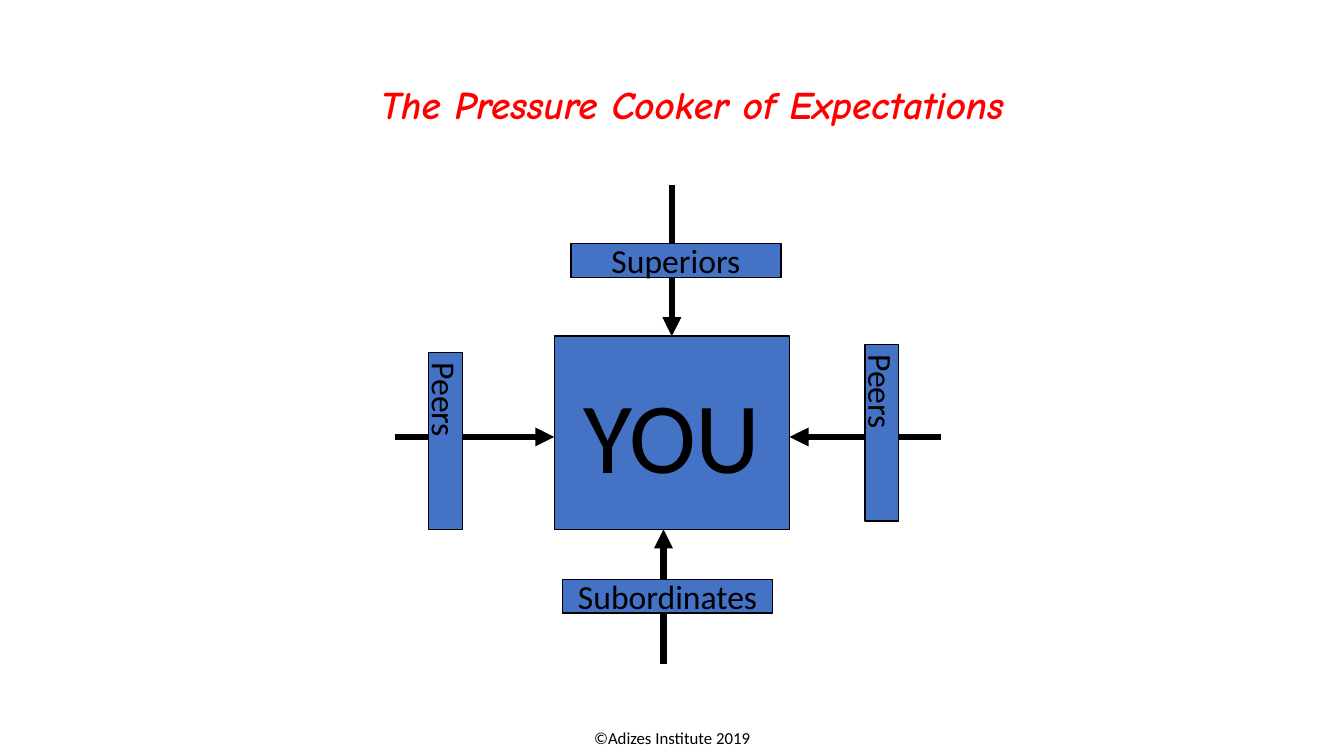
from lxml import etree
from pptx import Presentation
from pptx import util as u
from pptx.dml.color import RGBColor
from pptx.enum import shapes, text
from pptx.oxml.ns import qn

BLUE, BLACK, RED = "4472C4", "000000", "FF0000"


def colour(hex_string):
    return RGBColor.from_string(hex_string)


def write(shape, words, size, font="Calibri", color=BLACK, bold=False,
          italic=False, anchor=text.MSO_ANCHOR.MIDDLE, wrap=False, spacing=1.0):
    frame = shape.text_frame
    frame.auto_size = text.MSO_AUTO_SIZE.NONE
    frame.word_wrap = wrap
    frame.vertical_anchor = anchor
    paragraph = frame.paragraphs[0]
    paragraph.alignment = text.PP_ALIGN.CENTER
    paragraph.line_spacing = spacing
    run = paragraph.add_run()
    run.text = words
    run.font.size = u.Pt(size)
    run.font.name = font
    run.font.bold = bold
    run.font.italic = italic
    run.font.color.rgb = colour(color)


def add_box(slide, words, left, top, width, height, size=24, vertical=False):
    box = slide.shapes.add_shape(shapes.MSO_SHAPE.RECTANGLE, u.Cm(left),
                                 u.Cm(top), u.Cm(width), u.Cm(height))
    box.shadow.inherit = False
    box.fill.solid()
    box.fill.fore_color.rgb = colour(BLUE)
    box.line.color.rgb = colour(BLACK)
    box.line.width = u.Pt(1)
    write(box, words, size)
    if vertical:
        box.text_frame._txBody.bodyPr.set("vert", "eaVert")


def add_arrow(slide, x1, y1, x2, y2):
    arrow = slide.shapes.add_connector(shapes.MSO_CONNECTOR.STRAIGHT, u.Cm(x1),
                                       u.Cm(y1), u.Cm(x2), u.Cm(y2))
    arrow.line.color.rgb = colour(BLACK)
    arrow.line.width = u.Pt(4.5)
    head = etree.SubElement(arrow.line._get_or_add_ln(), qn("a:tailEnd"))
    head.set("type", "triangle")
    etree.SubElement(arrow._element.spPr, qn("a:effectLst"))


def add_title(slide, words):
    title = slide.shapes.title
    title.left, title.top = u.Cm(9.14), u.Cm(1.9)
    title.width, title.height = u.Cm(16.61), u.Cm(2.64)
    write(title, words, 28, font="Comic Neue", color=RED, bold=True,
          italic=True, anchor=text.MSO_ANCHOR.TOP, wrap=True)


def add_copyright(slide, words):
    notice = slide.shapes.add_textbox(u.Cm(11.3), u.Cm(18.24),
                                      u.Cm(11.28), u.Cm(0.76))
    notice.text_frame.margin_top = u.Cm(0.15)
    write(notice, words, 12, anchor=text.MSO_ANCHOR.TOP, wrap=True, spacing=0.93)


def main():
    deck = Presentation()
    deck.slide_width, deck.slide_height = u.Cm(33.87), u.Cm(19.05)
    slide = deck.slides.add_slide(deck.slide_layouts[5])

    add_title(slide, "The Pressure Cooker of Expectations")
    add_copyright(slide, "©Adizes Institute 2019")

    # Centre of the pressure
    left, top, width, height = 13.97, 8.47, 5.93, 4.87
    right, bottom = left + width, top + height
    add_box(slide, "YOU", left, top, width, height, size=72)

    # Arrows pressing in from each side
    side_y = 11.01
    add_arrow(slide, 16.93, 4.66, 16.93, top)
    add_arrow(slide, 9.95, side_y, left, side_y)
    add_arrow(slide, 23.71, side_y, right, side_y)
    add_arrow(slide, 16.72, 16.72, 16.72, bottom)

    # Sources of expectations, over the arrows
    long_side, short_side = 5.29, 0.85
    for source, x, y in (("Subordinates", 14.18, 14.6), ("Superiors", 14.39, 6.14)):
        add_box(slide, source, x, y, long_side, short_side)
    for x, y in ((10.8, 8.89), (21.8, 8.68)):
        add_box(slide, "Peers", x, y, short_side, 4.45, vertical=True)

    deck.save("out.pptx")


if __name__ == "__main__":
    main()
